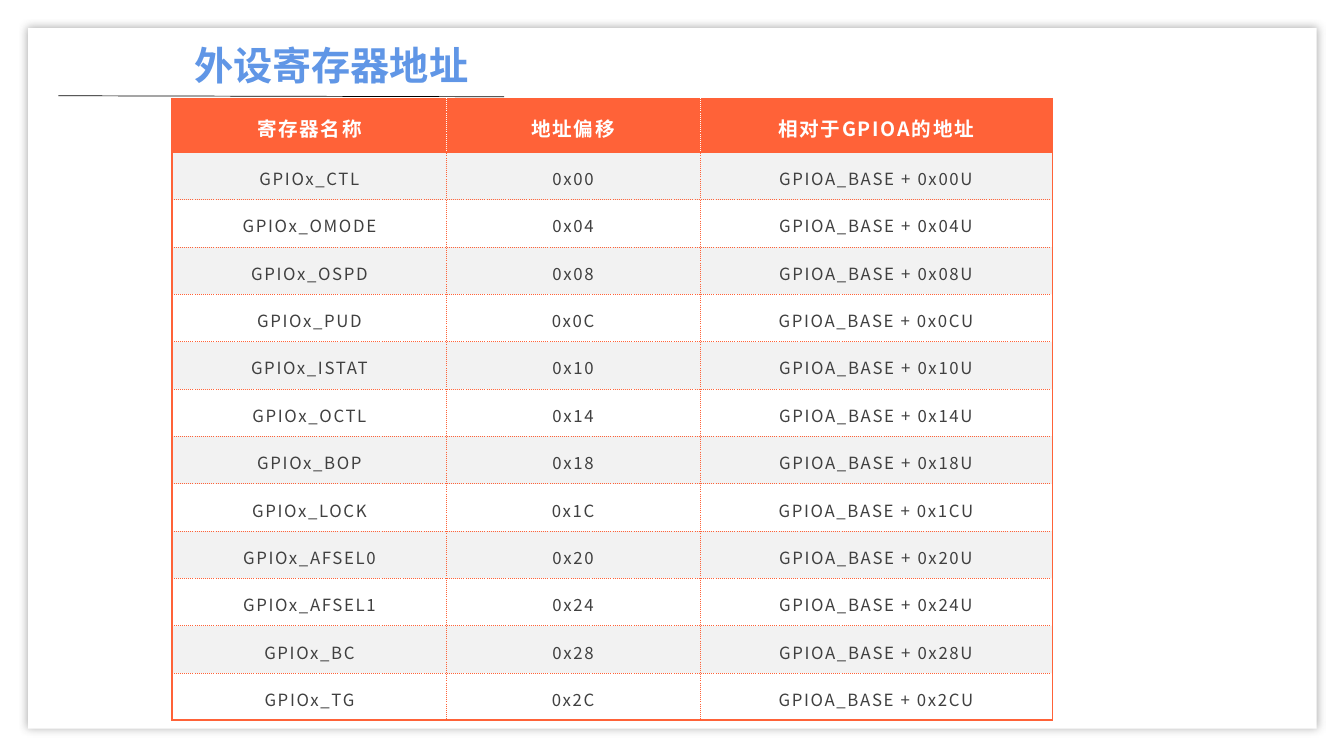
from lxml.etree import SubElement
from pptx import Presentation
from pptx.dml.color import RGBColor
from pptx.enum.shapes import MSO_CONNECTOR, MSO_SHAPE
from pptx.enum.text import MSO_ANCHOR, PP_ALIGN
from pptx.oxml.ns import qn
from pptx.util import Inches, Pt

COLORS = {"white": "FFFFFF", "orange": "FF6238", "band": "F2F2F2",
          "text": "404040", "title": "6096E6", "rule": "000000"}
CJK_FONT = "Noto Sans CJK SC"
HEADINGS = ["寄存器名称", "地址偏移", "相对于GPIOA的地址"]
REGISTERS = ["CTL", "OMODE", "OSPD", "PUD", "ISTAT", "OCTL",
             "BOP", "LOCK", "AFSEL0", "AFSEL1", "BC", "TG"]
COLUMN_WIDTHS = [2.72, 2.51, 3.5]
HEADER_HEIGHT, ROW_HEIGHT = 0.53, 0.47


def write_centred(frame, text, size, color, bold, font_name):
    """Fill the frame with one centred paragraph and return it with its run."""
    para = frame.paragraphs[0]
    para.alignment = PP_ALIGN.CENTER
    span = para.add_run()
    span.text = text
    for name, value in {"size": Pt(size), "bold": bold, "name": font_name}.items():
        setattr(span.font, name, value)
    span.font.color.rgb = RGBColor.from_string(COLORS[color])
    SubElement(span.font._element, qn("a:ea"), typeface=CJK_FONT)
    return para, span


def add_border(cell, side, color, solid):
    """Draw a thick solid or a thin dotted line on side L, R, T or B."""
    line = SubElement(cell._tc.get_or_add_tcPr(), qn(f"a:ln{side}"),
                      w=str(Pt(1.5 if solid else 0.25)))
    fill = SubElement(line, qn("a:solidFill"))
    SubElement(fill, qn("a:srgbClr"), val=COLORS[color])
    SubElement(line, qn("a:prstDash"), val="solid" if solid else "dot")


deck = Presentation()
deck.slide_width, deck.slide_height = Inches(13.33), Inches(7.5)
page = deck.slides.add_slide(deck.slide_layouts[5])

# White panel with a soft shadow, behind everything else
panel = page.shapes.add_shape(MSO_SHAPE.RECTANGLE, Inches(0.28), Inches(0.28),
                              Inches(12.78), Inches(6.95))
panel.fill.solid()
panel.fill.fore_color.rgb = RGBColor.from_string(COLORS["white"])
panel.line.fill.background()
panel.shadow.inherit = False
effects = panel._element.spPr.find(qn("a:effectLst"))
shadow = SubElement(effects, qn("a:outerShdw"), blurRad=str(Pt(6)), dist="0",
                    algn="ctr", rotWithShape="0")
shade = SubElement(shadow, qn("a:srgbClr"), val=COLORS["text"])
SubElement(shade, qn("a:alpha"), val="41000")
page.shapes._spTree.insert(2, panel._element)

# Title and the rule under it
rule = page.shapes.add_connector(MSO_CONNECTOR.STRAIGHT, Inches(0.58), Inches(0.95),
                                 Inches(5), Inches(0.96))
rule.line.color.rgb = RGBColor.from_string(COLORS["rule"])
rule.line.width = Pt(0.5)
SubElement(rule._element.spPr, qn("a:effectLst"))

title = page.shapes.title
title.left, title.top = Inches(1.56), Inches(0.36)
title.width, title.height = Inches(3.45), Inches(0.57)
title.text_frame.vertical_anchor = MSO_ANCHOR.MIDDLE
write_centred(title.text_frame, "外设寄存器地址", 28, "title", True, "Arial")

# Register table: each register lies four bytes after the one before
rows = [HEADINGS]
for index, register in enumerate(REGISTERS):
    offset = f"0x{4 * index:02X}"
    rows.append([f"GPIOx_{register}", offset, f"GPIOA_BASE + {offset}U"])

last_row, last_column = len(rows) - 1, len(HEADINGS) - 1
table = page.shapes.add_table(
    len(rows), len(HEADINGS), Inches(1.71), Inches(0.98), Inches(sum(COLUMN_WIDTHS)),
    Inches(HEADER_HEIGHT + ROW_HEIGHT * last_row)).table
for column, width in zip(table.columns, COLUMN_WIDTHS):
    column.width = Inches(width)

for r, values in enumerate(rows):
    header = r == 0
    table.rows[r].height = Inches(HEADER_HEIGHT if header else ROW_HEIGHT)
    for c, value in enumerate(values):
        cell = table.cell(r, c)
        cell.vertical_anchor = MSO_ANCHOR.MIDDLE
        cell.margin_left = cell.margin_right = Inches(0.19)
        cell.margin_top = cell.margin_bottom = Inches(0.06)
        para, span = write_centred(cell.text_frame, value, 14 if header else 12,
                                   "white" if header else "text", header, CJK_FONT)
        para.line_spacing = 1.2
        span.font._element.set("spc", "120")

        solid_sides = {"L": c == 0, "R": c == last_column,
                       "T": r <= 1, "B": r in (0, last_row)}
        for side, solid in solid_sides.items():
            add_border(cell, side, "white" if header and not solid else "orange", solid)
        cell.fill.solid()
        fill_color = "orange" if header else "band" if r % 2 else "white"
        cell.fill.fore_color.rgb = RGBColor.from_string(COLORS[fill_color])

deck.save("out.pptx")
